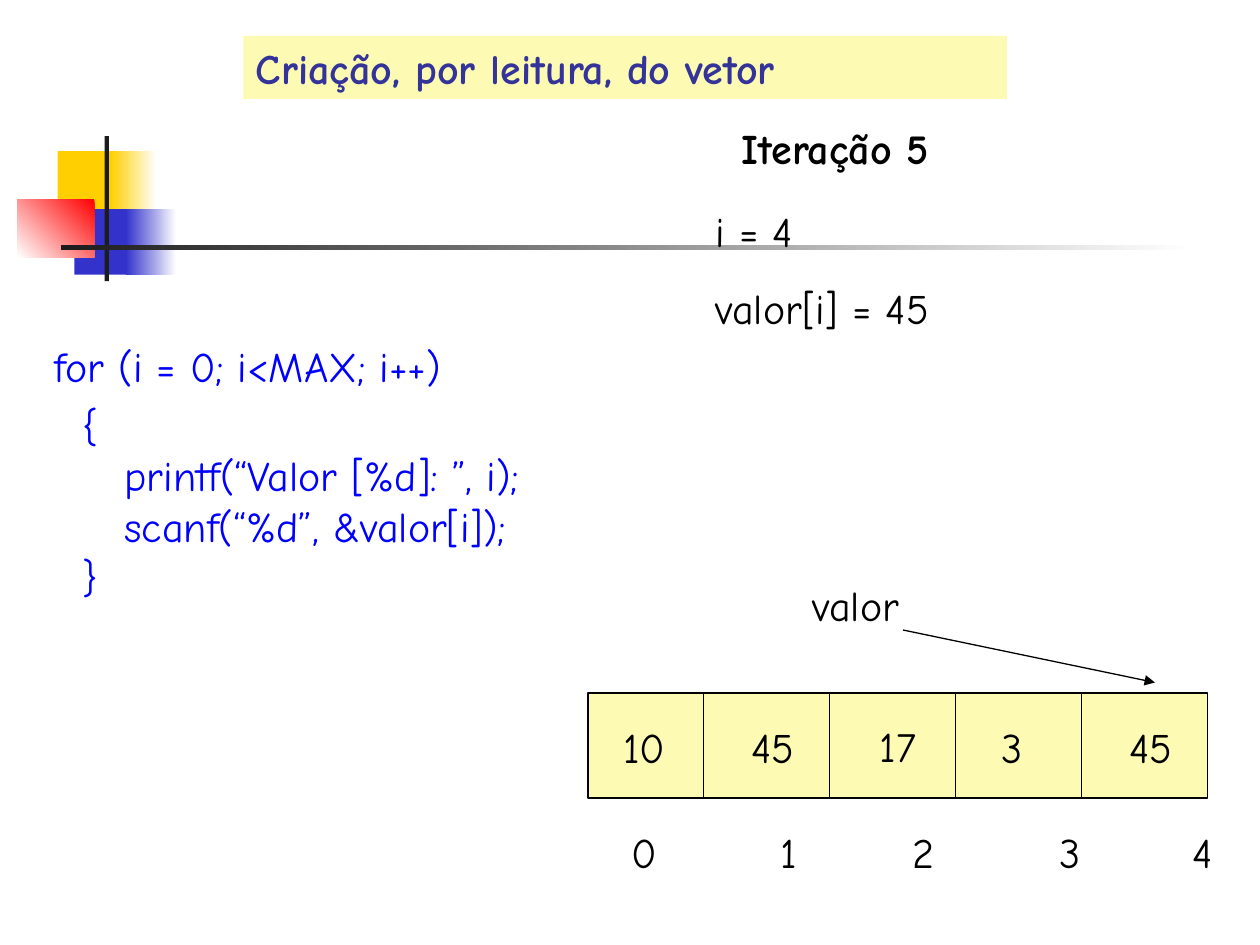
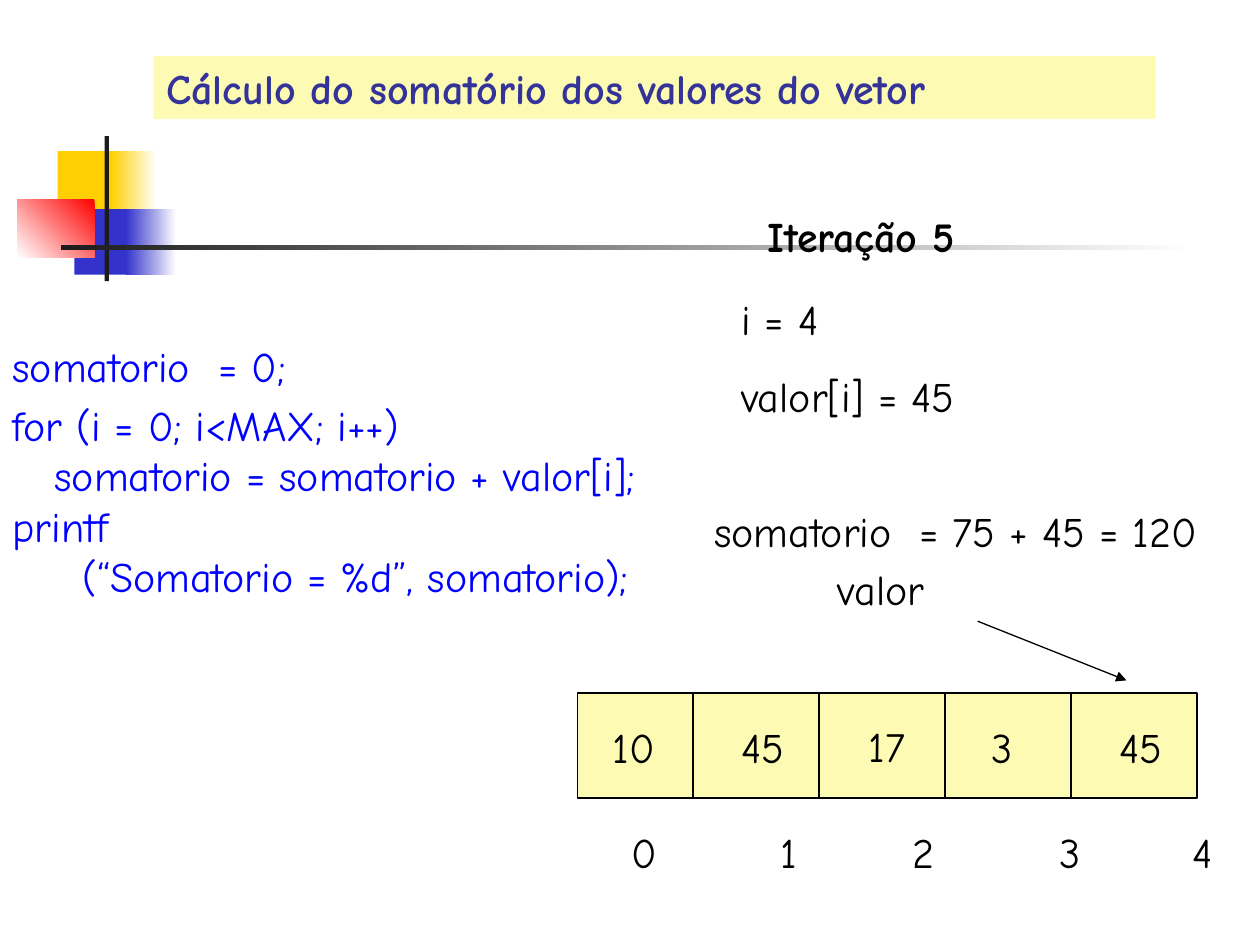
from lxml import etree
from pptx import Presentation
from pptx.dml.color import RGBColor
from pptx.enum.dml import MSO_LINE
from pptx.enum.shapes import MSO_CONNECTOR, MSO_SHAPE
from pptx.enum.text import MSO_ANCHOR, MSO_AUTO_SIZE, PP_ALIGN
from pptx.oxml.ns import qn
from pptx.util import Pt

RECTANGLE = MSO_SHAPE.RECTANGLE
STRAIGHT = MSO_CONNECTOR.STRAIGHT
SOLID = MSO_LINE.SOLID
TOP, MIDDLE = MSO_ANCHOR.TOP, MSO_ANCHOR.MIDDLE
LEFT, CENTER = PP_ALIGN.LEFT, PP_ALIGN.CENTER
FIXED = MSO_AUTO_SIZE.NONE

FONT, SIZE = "Comic Neue", 24
BLACK, WHITE, CHARCOAL = "000000", "FFFFFF", "1C1C1C"
CREAM, TITLE_BLUE, CODE_BLUE = "FDFBB3", "333399", "0000FF"
GOLD, ROYAL, RED = "FFCF01", "3333CC", "FF0000"

# Array diagram, in points
ARRAY_TOP, ARRAY_WIDTH, ARRAY_HEIGHT = 396, 354, 60
FIRST_CELL, CELL = 66, 72
LINE_HEIGHT, NUMBER_WIDTH = 36, 44
SIDE_VALUES = [("10", 13), ("45", 86.4), ("3", 229.5), ("45", 302.4)]
INDEX_LEFTS = [353.6, 439.1, 514.1, 598.1, 674.6]

# Corner ornament: box, colours (one, or first and last of a gradient), angle
ORNAMENT = [
    ((33, 86.4, 34.6, 37.4), [GOLD], 0),
    ((63.4, 86.4, 26, 37.4), [WHITE, GOLD], 180),
    ((42.5, 119.5, 33.1, 37.4), [ROYAL], 0),
    ((72, 119.5, 28.8, 37.4), [WHITE, ROYAL], 180),
    ((10, 113.8, 44, 33.1), [RED, WHITE], 135),
    ((59.8, 77.8, 2.5, 82.8), [CHARCOAL], 0),
    ((34.6, 140.2, 648, 2.5), [WHITE, CHARCOAL], 180),
]


def color(hex_code):
    return RGBColor.from_string(hex_code)


def place(shape, box):
    shape.left, shape.top, shape.width, shape.height = map(Pt, box)


def add_run(paragraph, text, ink=BLACK, bold=False):
    run = paragraph.add_run()
    run.text = text
    run.font.name, run.font.size, run.font.bold = FONT, Pt(SIZE), bold
    run.font.color.rgb = color(ink)


def write(shape, lines, ink=BLACK, bold=False, before=0):
    """Write one paragraph per line and return the paragraphs."""
    frame = shape.text_frame
    frame.word_wrap, frame.auto_size = True, FIXED
    frame.vertical_anchor = TOP
    paragraphs = []
    for number, line in enumerate(lines):
        paragraph = frame.add_paragraph() if number else frame.paragraphs[0]
        paragraph.alignment = LEFT
        paragraph.space_before = Pt(before)
        add_run(paragraph, line, ink, bold)
        paragraphs.append(paragraph)
    return paragraphs


def add_text(slide, box, *lines, **style):
    write(slide.shapes.add_textbox(*map(Pt, box)), lines, **style)


def add_line(slide, start, end, arrow=False):
    line = slide.shapes.add_connector(STRAIGHT, *map(Pt, start + end))
    line.line.color.rgb = color(BLACK)
    line.line.width = Pt(0.75)
    line.line.dash_style = SOLID
    properties = line.element.spPr
    if arrow:
        etree.SubElement(properties.find(qn("a:ln")), qn("a:tailEnd"), type="triangle")
    etree.SubElement(properties, qn("a:effectLst"))


def add_rectangle(slide, box, fills, angle=0):
    rectangle = slide.shapes.add_shape(RECTANGLE, *map(Pt, box))
    rectangle.shadow.inherit = False
    rectangle.line.fill.background()
    if len(fills) == 1:
        rectangle.fill.solid()
        rectangle.fill.fore_color.rgb = color(fills[0])
    else:
        rectangle.fill.gradient()
        rectangle.fill.gradient_angle = 360 - angle
        for stop, tone in zip(rectangle.fill.gradient_stops, fills):
            stop.color.rgb = color(tone)
    return rectangle


def decorate_layout(layout, slide):
    """Draw the corner ornament once, on the layout behind every slide."""
    for placeholder in list(layout.placeholders):
        if placeholder.placeholder_format.idx >= 10:
            layout.shapes.element.remove(placeholder.element)
    for box, fills, angle in ORNAMENT:
        layout.shapes.element.append(add_rectangle(slide, box, fills, angle).element)


def set_title(slide, left, top, width, text):
    title = slide.shapes.title
    place(title, (left, top, width, LINE_HEIGHT))
    title.fill.solid()
    title.fill.fore_color.rgb = color(CREAM)
    write(title, [text], ink=TITLE_BLUE, bold=True)


def set_code(slide, left, width, code):
    """Fill the body with (indent, line) pairs; the first two lines sit wider."""
    body = slide.placeholders[1]
    place(body, (left, 186, width, 161))
    paragraphs = write(body, [line for _, line in code], ink=CODE_BLUE)
    for number, (paragraph, (indent, _)) in enumerate(zip(paragraphs, code)):
        paragraph.line_spacing = 1.17 if number < 2 else 1.0
        properties = paragraph._p.get_or_add_pPr()
        properties.set("marL", str(Pt(indent)))
        properties.set("indent", "0")
        etree.SubElement(properties, qn("a:buNone"))


def add_iteration(slide, left, top):
    """Iteration heading with the index and the value just read."""
    add_text(slide, (left + 15, top, 140, LINE_HEIGHT), "Iteração 5", bold=True)
    add_text(slide, (left, top + 47.5, 252, 80), "i = 4", "valor[i] = 45", before=15)


def add_array(slide, left):
    """Five cells with their values, and the indices below."""
    cells = add_rectangle(slide, (left, ARRAY_TOP, ARRAY_WIDTH, ARRAY_HEIGHT), [CREAM])
    cells.line.color.rgb = color(BLACK)
    cells.line.width = Pt(0.75)
    frame = cells.text_frame
    frame.word_wrap, frame.vertical_anchor = False, MIDDLE
    frame.paragraphs[0].alignment = CENTER
    add_run(frame.paragraphs[0], "17")
    for number in range(4):
        x = left + FIRST_CELL + number * CELL
        add_line(slide, (x, ARRAY_TOP), (x, ARRAY_TOP + ARRAY_HEIGHT))
    for value, offset in SIDE_VALUES:
        add_text(slide, (left + offset, 408.5, NUMBER_WIDTH, LINE_HEIGHT), value)
    for index, index_left in enumerate(INDEX_LEFTS):
        add_text(slide, (index_left, 468.7, NUMBER_WIDTH, LINE_HEIGHT), str(index))


def build_reading(slide):
    set_title(slide, 139, 20.5, 436.3, "Criação, por leitura, do vetor")
    set_code(slide, 24, 336, [
        (0, "for (i = 0; i<MAX; i++)"),
        (16, "{"),
        (40, "printf(“Valor [%d]: ”, i);"),
        (40, "scanf(“%d”, &valor[i]);"),
        (16, "}"),
    ])
    add_iteration(slide, 401.8, 66.5)
    add_text(slide, (457.2, 327.6, 80, LINE_HEIGHT), "valor")
    add_line(slide, (516, 360), (660, 390), arrow=True)
    add_array(slide, 336)


def build_sum(slide):
    set_title(slide, 87.8, 32, 572.4, "Cálculo do somatório dos valores do vetor")
    set_code(slide, 0, 426, [
        (0, "somatorio  = 0;"),
        (0, "for (i = 0; i<MAX; i++)"),
        (24, "somatorio = somatorio + valor[i];"),
        (0, "printf"),
        (40, "(“Somatorio = %d”, somatorio);"),
    ])
    add_iteration(slide, 416.5, 116.8)
    add_text(slide, (401, 285.1, 310, LINE_HEIGHT), "somatorio  = 75 + 45 = 120")
    add_text(slide, (471.6, 318.5, 80, LINE_HEIGHT), "valor")
    add_line(slide, (558.7, 355), (643.7, 388.8), arrow=True)
    add_array(slide, 330)


def main():
    deck = Presentation()
    deck.slide_width, deck.slide_height = Pt(720), Pt(540)
    layout = deck.slide_layouts[1]
    reading, total = (deck.slides.add_slide(layout) for _ in range(2))
    decorate_layout(layout, reading)
    build_reading(reading)
    build_sum(total)
    deck.save("out.pptx")


if __name__ == "__main__":
    main()
